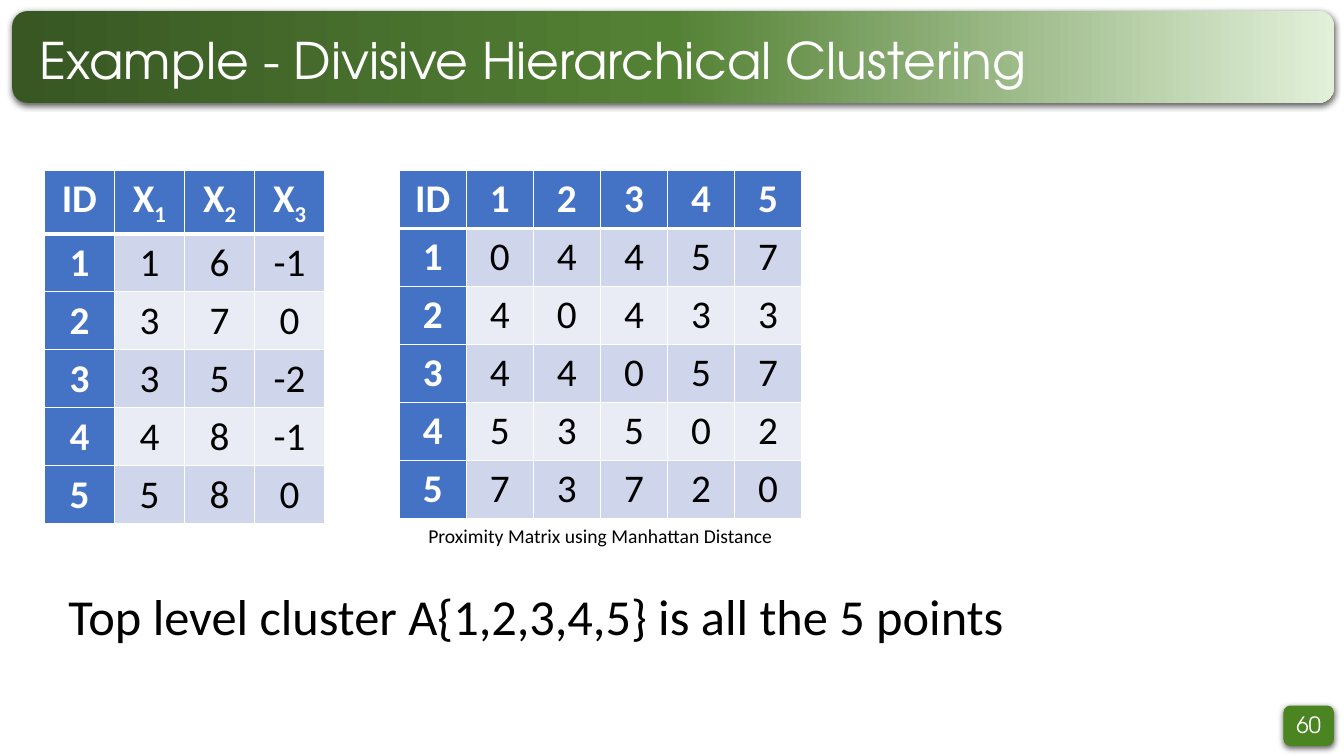
"""Build the divisive hierarchical clustering slide."""
from dataclasses import dataclass

from lxml import etree
from pptx import Presentation
from pptx import util as u
from pptx.dml import color
from pptx.enum import shapes, text
from pptx.oxml import ns, parse_xml

HEX = {
    "white": "FFFFFF", "black": "000000", "badge": "4A8522",
    "dark": "385723", "mid": "548235", "pale": "E2F0D9",
    "head": "4472C4", "odd": "CFD5EA", "even": "E9EBF5",
}
BODY, TITLE = "Calibri", "TeX Gyre Adventor"
LEFT, MID = text.PP_ALIGN.LEFT, text.PP_ALIGN.CENTER
TOP, CORE = text.MSO_ANCHOR.TOP, text.MSO_ANCHOR.MIDDLE
POINTS = [(1, 6, -1), (3, 7, 0), (3, 5, -2), (4, 8, -1), (5, 8, 0)]


@dataclass
class Box:
    """Place on the slide in inches."""
    left: float
    top: float
    wide: float
    high: float

    def spot(self) -> tuple:
        """Give the place as lengths."""
        return tuple(u.Inches(n) for n in (self.left, self.top, self.wide, self.high))


@dataclass
class Panel:
    """Rounded panel with one or more fill colours."""
    box: Box
    hues: list[str]


@dataclass
class Grid:
    """Table with a head row and a head column."""
    box: Box
    rows: list[list[str]]


@dataclass
class Note:
    """Line of text in one style."""
    box: Box
    words: str
    size: int
    font: str = BODY
    hue: str = "black"
    align: text.PP_ALIGN = LEFT
    anchor: text.MSO_ANCHOR = TOP


def rgb(name: str) -> color.RGBColor:
    """Look up a colour by name."""
    return color.RGBColor.from_string(HEX[name])


def style(para, size: int, font: str, hue: str, align, bold: bool = False) -> None:
    """Format a paragraph and its runs."""
    para.alignment = align
    for run in para.runs:
        run.font.size, run.font.name, run.font.bold = u.Pt(size), font, bold
        run.font.color.rgb = rgb(hue)


def write(shape, note: Note) -> None:
    """Fill a shape with a note."""
    frame = shape.text_frame
    frame.text = note.words
    frame.word_wrap, frame.vertical_anchor = True, note.anchor
    style(frame.paragraphs[0], note.size, note.font, note.hue, note.align)


def panel(slide, item: Panel) -> None:
    """Draw a shaded panel behind the title."""
    shape = slide.shapes.add_shape(shapes.MSO_SHAPE.ROUNDED_RECTANGLE, *item.box.spot())
    shape.line.fill.background()
    if len(item.hues) == 1:
        shape.fill.solid()
        shape.fill.fore_color.rgb = rgb(item.hues[0])
    else:
        shape.fill.gradient()
        shape.fill.gradient_angle = 0
        stops = shape.element.spPr.find(".//" + ns.qn("a:gsLst"))
        for old in list(stops):
            stops.remove(old)
        for i, hue in enumerate(item.hues):
            pos = str(100000 * i // (len(item.hues) - 1))
            stop = etree.SubElement(stops, ns.qn("a:gs"), pos=pos)
            etree.SubElement(stop, ns.qn("a:srgbClr"), val=HEX[hue])
    shape.element.spPr.append(parse_xml(
        f'<a:effectLst {ns.nsdecls("a")}><a:outerShdw blurRad="57150" dist="19050" '
        f'dir="5400000" algn="ctr" rotWithShape="0"><a:srgbClr val="{HEX["black"]}">'
        '<a:alpha val="63000"/></a:srgbClr></a:outerShdw></a:effectLst>'))
    slide.shapes.title.element.addprevious(shape.element)


def edge(cell, row: int) -> None:
    """Rule a cell in white, thicker under the head row."""
    props = cell._tc.get_or_add_tcPr()
    thick = {"L": 1, "R": 1, "T": 3 if row == 1 else 1, "B": 3 if row == 0 else 1}
    for i, (side, width) in enumerate(thick.items()):
        props.insert(i, parse_xml(
            f'<a:ln{side} {ns.nsdecls("a")} w="{u.Pt(width)}"><a:solidFill>'
            f'<a:srgbClr val="{HEX["white"]}"/></a:solidFill></a:ln{side}>'))


def grid(slide, item: Grid) -> None:
    """Draw a banded table."""
    rows = item.rows
    frame = slide.shapes.add_table(len(rows), len(rows[0]), *item.box.spot())
    table = frame.table
    table.first_col = True
    for r, row in enumerate(rows):
        table.rows[r].height = u.Inches(0.41)
        for c, word in enumerate(row):
            cell, head = table.cell(r, c), r == 0 or c == 0
            cell.fill.solid()
            cell.fill.fore_color.rgb = rgb("head" if head else "odd" if r % 2 else "even")
            edge(cell, r)
            para = cell.text_frame.paragraphs[0]
            base, _, sub = word.partition("_")
            para.text = base
            if sub:
                run = para.add_run()
                run.text = sub
                run._r.get_or_add_rPr().set("baseline", "-25000")
            style(para, 28, BODY, "white" if head else "black", MID, head)
    frame.height = u.Inches(item.box.high)


def main() -> None:
    """Build and save the slide."""
    deck = Presentation()
    deck.slide_width, deck.slide_height = u.Inches(13.33), u.Inches(7.5)
    slide = deck.slides.add_slide(deck.slide_layouts[5])

    panel(slide, Panel(Box(12.73, 7, 0.5, 0.4), ["badge"]))
    panel(slide, Panel(Box(0.12, 0.11, 13.11, 0.91), ["dark", "mid", "pale"]))

    head = Note(Box(0.29, 0.3, 12.76, 0.65), "Example - Divisive Hierarchical Clustering",
                36, TITLE, "white", LEFT, CORE)
    title = slide.shapes.title
    title.left, title.top, title.width, title.height = head.box.spot()
    write(title, head)
    title.text_frame.paragraphs[0].line_spacing = 0.9

    data = [["ID", "X_1", "X_2", "X_3"]]
    near = [["ID", *(str(i + 1) for i in range(len(POINTS)))]]
    for i, p in enumerate(POINTS, 1):
        data.append([str(n) for n in (i, *p)])
        gaps = (sum(abs(a - b) for a, b in zip(p, q)) for q in POINTS)
        near.append([str(n) for n in (i, *gaps)])
    grid(slide, Grid(Box(0.44, 1.69, 2.78, 3.4), data))
    grid(slide, Grid(Box(3.96, 1.69, 3.99, 3.4), near))

    notes = [
        Note(Box(3.96, 5.15, 3.99, 0.34), "Proximity Matrix using Manhattan Distance",
             14, align=MID),
        Note(Box(0.58, 5.76, 9.77, 0.71),
             "Top level cluster A{1,2,3,4,5} is all the 5 points", 36),
        Note(Box(12.73, 7, 0.5, 0.38), "60", 16, TITLE, "white", MID, CORE),
    ]
    for note in notes:
        write(slide.shapes.add_textbox(*note.box.spot()), note)
    deck.save("out.pptx")


if __name__ == "__main__":
    main()
